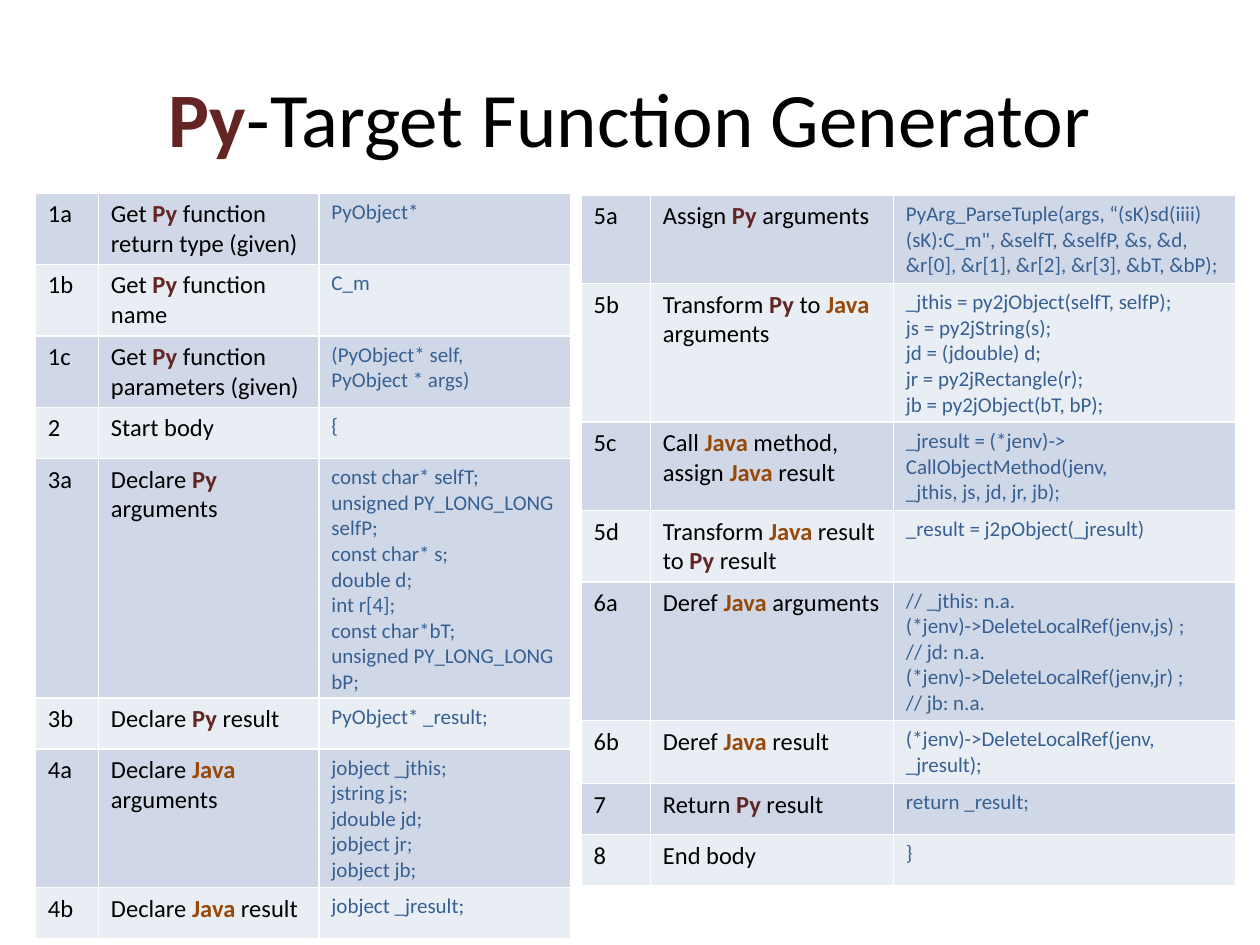
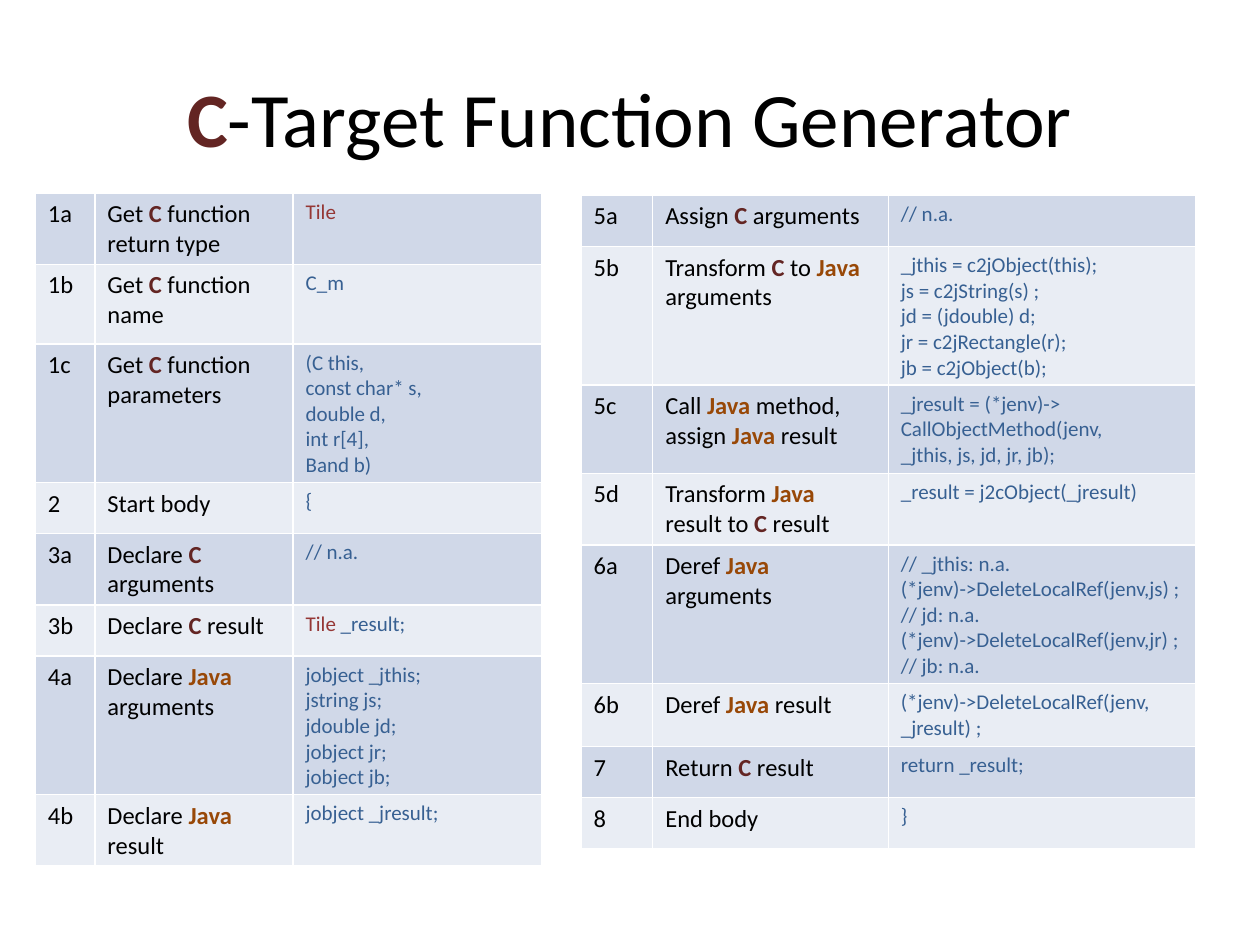
from pptx import Presentation
from pptx.dml.color import RGBColor
from pptx.enum.text import MSO_ANCHOR, PP_ALIGN
from pptx.util import Pt

# Shared style
FONT = "Calibri"
BLACK = RGBColor(0x00, 0x00, 0x00)
CODE_BLUE = RGBColor(0x37, 0x60, 0x92)
TARGET_RED = RGBColor(0x63, 0x25, 0x23)
JAVA_BROWN = RGBColor(0x98, 0x48, 0x07)
TYPE_RED = RGBColor(0x95, 0x37, 0x35)
BANDS = (RGBColor(0xD0, 0xD8, 0xE8), RGBColor(0xE9, 0xED, 0xF4))
# Words between bars: colour and bold
HIGHLIGHTS = {
    "Py": (TARGET_RED, True),
    "C": (TARGET_RED, True),
    "Java": (JAVA_BROWN, True),
    "Tile": (TYPE_RED, False),
}
TITLE_SIZE, STEP_SIZE, CODE_SIZE = 44, 14, 12
ROW_HEIGHT = 29.2
LEFT_TABLE = (20.2, 110.2)
RIGHT_TABLE = (332, 111.6)

# Code that is the same for both targets
JAVA_DECLARATIONS = "jobject _jthis;\njstring js;\njdouble jd;\njobject jr;\njobject jb;"
JAVA_CALL = "_jresult = (*jenv)->\nCallObjectMethod(jenv,\n_jthis, js, jd, jr, jb);"
JAVA_DEREFS = (
    "// _jthis: n.a.\n(*jenv)->DeleteLocalRef(jenv,js) ;\n// jd: n.a.\n"
    "(*jenv)->DeleteLocalRef(jenv,jr) ;\n// jb: n.a."
)

# Code of the Python target
PY_DECLARATIONS = (
    "const char* selfT;\nunsigned PY_LONG_LONG selfP;\nconst char* s;\ndouble d;\n"
    "int r[4];\nconst char*bT;\nunsigned PY_LONG_LONG bP;"
)
PY_PARSE = (
    "PyArg_ParseTuple(args, “(sK)sd(iiii)(sK):C_m\", &selfT, &selfP, &s, &d, "
    "&r[0], &r[1], &r[2], &r[3], &bT, &bP);"
)
PY_TRANSFORM = (
    "_jthis = py2jObject(selfT, selfP);\njs = py2jString(s);\njd = (jdouble) d;\n"
    "jr = py2jRectangle(r);\njb = py2jObject(bT, bP);"
)

# Code of the C target
C_PARAMETERS = "(C this,\nconst char* s,\ndouble d,\nint r[4],\nBand b)"
C_TRANSFORM = (
    "_jthis = c2jObject(this);\njs = c2jString(s) ;\njd = (jdouble) d;\n"
    "jr = c2jRectangle(r);\njb = c2jObject(b);"
)


def declaration_steps(target, return_type, parameters, declarations, note="", gap=" "):
    """Steps 1a to 4b: signature and declarations."""
    return [
        ("1a", f"Get |{target}| function return type{note}", return_type),
        ("1b", f"Get |{target}| function name", "C_m"),
        ("1c", f"Get |{target}| function parameters{note}", parameters),
        ("2", "Start body", "{"),
        ("3a", f"Declare |{target}|{gap}arguments", declarations),
        ("3b", f"Declare |{target}| result", f"{return_type} _result;"),
        ("4a", "Declare |Java| arguments", JAVA_DECLARATIONS),
        ("4b", "Declare |Java| result", "jobject _jresult;"),
    ]


def call_steps(target, assignment, transform, result, deref_result):
    """Steps 5a to 8: call, clean-up and return."""
    return [
        ("5a", f"Assign |{target}| arguments", assignment),
        ("5b", f"Transform |{target}| to |Java| arguments", transform),
        ("5c", "Call |Java| method, assign |Java| result", JAVA_CALL),
        ("5d", f"Transform |Java| result to |{target}| result", result),
        ("6a", "Deref |Java| arguments", JAVA_DEREFS),
        ("6b", "Deref |Java| result", deref_result),
        ("7", f"Return |{target}| result", "return _result;"),
        ("8", "End body", "}"),
    ]


def write_text(text_frame, text, size, color, alignment=PP_ALIGN.LEFT):
    """Write one paragraph per line; words between bars are highlighted."""
    for number, line in enumerate(text.split("\n")):
        paragraph = text_frame.add_paragraph() if number else text_frame.paragraphs[0]
        paragraph.alignment = alignment
        for index, piece in enumerate(line.split("|")):
            if not piece:
                continue
            run = paragraph.add_run()
            run.text = piece
            run.font.name = FONT
            run.font.size = Pt(size)
            piece_color, bold = HIGHLIGHTS[piece] if index % 2 else (color, False)
            run.font.color.rgb = piece_color
            run.font.bold = bold


def add_title(slide, target):
    box = slide.shapes.add_textbox(Pt(36), Pt(21.6), Pt(648), Pt(90))
    box.text_frame.word_wrap = True
    box.text_frame.vertical_anchor = MSO_ANCHOR.MIDDLE
    title = f"|{target}|-Target Function Generator"
    write_text(box.text_frame, title, TITLE_SIZE, BLACK, PP_ALIGN.CENTER)


def add_step_table(slide, position, widths, height, steps, tall_rows=None):
    left, top = position
    frame = slide.shapes.add_table(
        len(steps), len(widths), Pt(left), Pt(top), Pt(sum(widths)), Pt(height)
    )
    table = frame.table
    table.first_row = table.horz_banding = False
    for column, width in zip(table.columns, widths):
        column.width = Pt(width)
    for row_index, step in enumerate(steps):
        row = table.rows[row_index]
        row.height = Pt((tall_rows or {}).get(step[0], ROW_HEIGHT))
        for column_index, (cell, text) in enumerate(zip(row.cells, step)):
            cell.fill.solid()
            cell.fill.fore_color.rgb = BANDS[row_index % 2]
            is_code = column_index == 2
            write_text(
                cell.text_frame,
                text,
                CODE_SIZE if is_code else STEP_SIZE,
                CODE_BLUE if is_code else BLACK,
            )
    frame.height = Pt(height)


def add_python_slide(presentation):
    slide = presentation.slides.add_slide(presentation.slide_layouts[6])
    add_title(slide, "Py")
    declarations = declaration_steps(
        "Py", "PyObject*", "(PyObject* self,\nPyObject * args)",
        PY_DECLARATIONS, note=" (given)", gap="\n",
    )
    add_step_table(slide, LEFT_TABLE, (36, 126, 144), 426.2, declarations)
    calls = call_steps(
        "Py", PY_PARSE, PY_TRANSFORM, "_result = j2pObject(_jresult)",
        "(*jenv)->DeleteLocalRef(jenv, _jresult);",
    )
    add_step_table(slide, RIGHT_TABLE, (39.6, 138.9, 195.8), 409, calls)


def add_c_slide(presentation):
    slide = presentation.slides.add_slide(presentation.slide_layouts[6])
    add_title(slide, "C")
    declarations = declaration_steps("C", "|Tile|", C_PARAMETERS, "// n.a.")
    add_step_table(
        slide, LEFT_TABLE, (34, 113.3, 142), 384.5, declarations, {"1b": 45.4}
    )
    calls = call_steps(
        "C", "// n.a.", C_TRANSFORM, "_result = j2cObject(_jresult)",
        "(*jenv)->DeleteLocalRef(jenv, _jresult) ;",
    )
    add_step_table(slide, RIGHT_TABLE, (41, 134.6, 175.7), 373, calls)


def main():
    presentation = Presentation()
    presentation.slide_width = Pt(720)
    presentation.slide_height = Pt(540)
    add_python_slide(presentation)
    add_c_slide(presentation)
    presentation.save("out.pptx")


if __name__ == "__main__":
    main()
